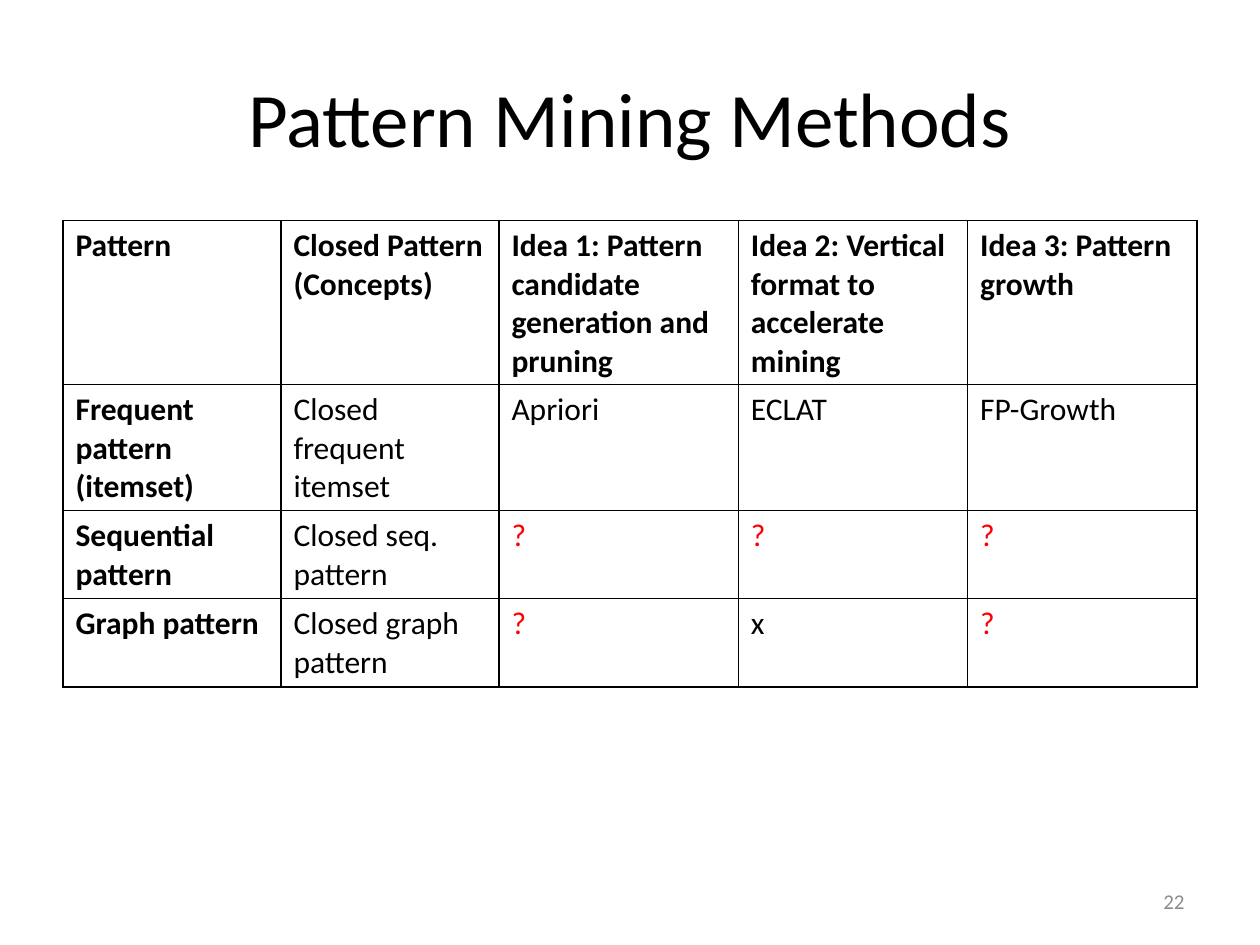
from lxml import etree
from pptx import Presentation
from pptx.dml.color import RGBColor
from pptx.enum.text import MSO_ANCHOR, PP_ALIGN
from pptx.oxml.ns import qn
from pptx.util import Pt

MIDDLE = MSO_ANCHOR.MIDDLE
CENTER, RIGHT = PP_ALIGN.CENTER, PP_ALIGN.RIGHT

FONT = "Calibri"
COLORS = {"text": "000000", "open": "FF0000", "number": "8C8C8C", "border": "000000"}

TITLE = "Pattern Mining Methods"
PAGE_NUMBER = "22"
METHODS = [
    ["Pattern", "Closed Pattern (Concepts)",
     "Idea 1: Pattern candidate generation and pruning",
     "Idea 2: Vertical format to accelerate mining", "Idea 3: Pattern growth"],
    ["Frequent pattern (itemset)", "Closed frequent itemset", "Apriori", "ECLAT", "FP-Growth"],
    ["Sequential pattern", "Closed seq. pattern", "?", "?", "?"],
    ["Graph pattern", "Closed graph pattern", "?", "x", "?"],
]
COLUMN_WIDTHS = [124.56, 124.56, 136.8, 131.04, 131.04]
ROW_HEIGHT = 29.5
TABLE_LEFT, TABLE_TOP = 36, 126


def style_text(frame, size, color, bold=False):
    for para in frame.paragraphs:
        for span in para.runs:
            span.font.name = FONT
            span.font.size = Pt(size)
            span.font.bold = bold
            span.font.color.rgb = RGBColor.from_string(COLORS[color])


def add_label(page, text, left, top, width, height, size, color, align):
    box = page.shapes.add_textbox(Pt(left), Pt(top), Pt(width), Pt(height))
    frame = box.text_frame
    frame.word_wrap = True
    frame.vertical_anchor = MIDDLE
    frame.text = text
    frame.paragraphs[0].alignment = align
    style_text(frame, size, color)


def add_borders(cell):
    properties = cell._tc.get_or_add_tcPr()
    for side in ("a:lnL", "a:lnR", "a:lnT", "a:lnB"):
        line = etree.SubElement(properties, qn(side), w=str(Pt(1)))
        fill = etree.SubElement(line, qn("a:solidFill"))
        etree.SubElement(fill, qn("a:srgbClr"), val=COLORS["border"])


def add_methods_table(page):
    shape = page.shapes.add_table(
        len(METHODS), len(COLUMN_WIDTHS), Pt(TABLE_LEFT), Pt(TABLE_TOP),
        Pt(sum(COLUMN_WIDTHS)), Pt(ROW_HEIGHT * len(METHODS)))
    table = shape.table
    table.horz_banding = False
    for column, width in zip(table.columns, COLUMN_WIDTHS):
        column.width = Pt(width)
    for row_index, row in enumerate(METHODS):
        table.rows[row_index].height = Pt(ROW_HEIGHT)
        for column_index, text in enumerate(row):
            cell = table.cell(row_index, column_index)
            cell.text_frame.text = text
            is_heading = row_index == 0 or column_index == 0
            style_text(cell.text_frame, 18, "open" if text == "?" else "text", is_heading)
            add_borders(cell)
            cell.fill.background()


def main():
    deck = Presentation()
    deck.slide_width, deck.slide_height = Pt(720), Pt(540)
    page = deck.slides.add_slide(deck.slide_layouts[6])
    add_label(page, TITLE, 36, 21.6, 648, 90, 44, "text", CENTER)
    add_methods_table(page)
    add_label(page, PAGE_NUMBER, 516, 500.5, 168, 28.8, 12, "number", RIGHT)
    deck.save("out.pptx")


if __name__ == "__main__":
    main()
